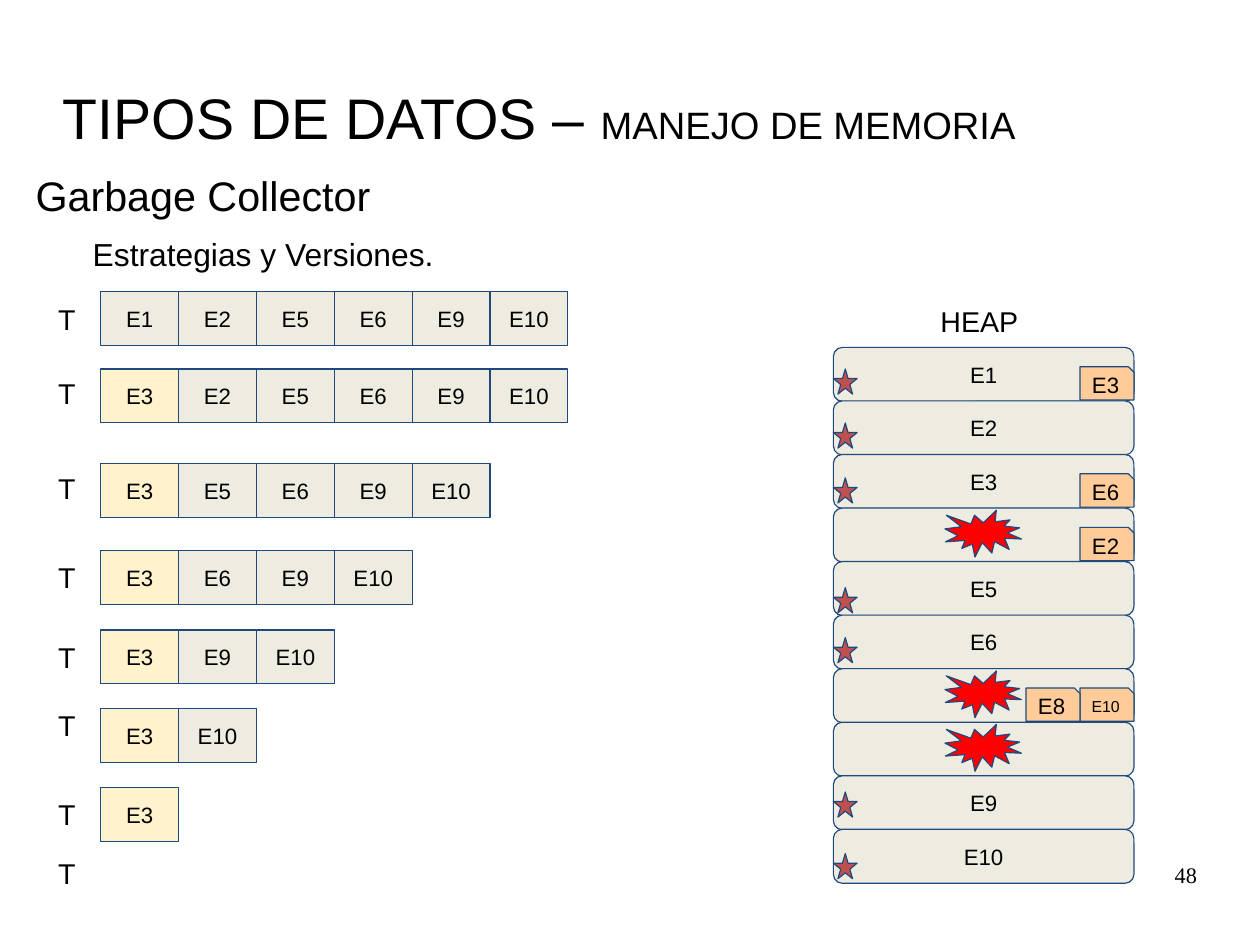
from pptx import Presentation
from pptx.dml.color import RGBColor
from pptx.enum import shapes, text
from pptx.util import Cm, Pt

GREY, CREAM, PEACH = "EEECE1", "FFF2CC", "FFCC99"
STAR_RED, BURST_RED, NAVY, BLACK = "C0504D", "FF0000", "1F497D", "000000"
LEFT, CENTER, RIGHT = (text.PP_ALIGN.LEFT, text.PP_ALIGN.CENTER,
                       text.PP_ALIGN.RIGHT)
JUSTIFY = text.PP_ALIGN.JUSTIFY
TOP, MIDDLE = text.MSO_ANCHOR.TOP, text.MSO_ANCHOR.MIDDLE
SHAPE = shapes.MSO_SHAPE

# Table rows: top of the cells, their elements (cm)
ROWS = [
    (6.48, ["E1", "E2", "E5", "E6", "E9", "E10"]),
    (8.2, ["E3", "E2", "E5", "E6", "E9", "E10"]),
    (10.31, ["E3", "E5", "E6", "E9", "E10"]),
    (12.24, ["E3", "E6", "E9", "E10"]),
    (14, ["E3", "E9", "E10"]),
    (15.75, ["E3", "E10"]),
    (17.5, ["E3"]),
]
ROW_LABEL_TOPS = [6.45, 8.1, 10.21, 12.19, 13.97, 15.49, 17.45, 18.77]
CELL_LEFT, CELL_W, CELL_H = 2.24, 1.73, 1.2

# Heap slots: element (empty if freed), references it holds, top of its star
HEAP = [
    ("E1", ["E3"], 8.2),
    ("E2", [], 9.4),
    ("E3", ["E6"], 10.62),
    ("", ["E2"], None),
    ("E5", [], 13.06),
    ("E6", [], 14.17),
    ("", ["E10", "E8"], None),
    ("", [], None),
    ("E9", [], 17.6),
    ("E10", [], 18.97),
]
HEAP_LEFT, HEAP_TOP, HEAP_W, HEAP_PITCH = 18.52, 7.72, 6.68, 1.19
TAG_W, TAG_H = 1.2, 0.74


def rgb(value):
    return RGBColor.from_string(value)


def frame(tf, inset=0, anchor=TOP, wrap=True):
    tf.margin_left = tf.margin_right = Cm(inset)
    tf.margin_top = tf.margin_bottom = Cm(inset)
    tf.vertical_anchor = anchor
    tf.word_wrap = wrap
    tf.auto_size = text.MSO_AUTO_SIZE.NONE


def write(p, words, size=14, font="Arial", color=BLACK, align=LEFT):
    p.alignment = align
    r = p.add_run()
    r.text = words
    r.font.size = Pt(size)
    r.font.name = font
    r.font.color.rgb = rgb(color)


def add_text(s, x, y, w, h, words, inset=0, **style):
    tf = s.shapes.add_textbox(Cm(x), Cm(y), Cm(w), Cm(h)).text_frame
    frame(tf, inset)
    write(tf.paragraphs[0], words, **style)
    return tf


def add_block(s, kind, x, y, w, h, fill, words="", size=14):
    sp = s.shapes.add_shape(kind, Cm(x), Cm(y), Cm(w), Cm(h))
    sp.shadow.inherit = False
    sp.fill.solid()
    sp.fill.fore_color.rgb = rgb(fill)
    sp.line.color.rgb = rgb(NAVY)
    sp.line.width = Pt(0.75)
    if words:
        frame(sp.text_frame, 0.25, MIDDLE, wrap=False)
        write(sp.text_frame.paragraphs[0], words, size=size, align=CENTER)


def add_title(s):
    sp = s.shapes.title
    sp.left, sp.top, sp.width, sp.height = Cm(1.4), Cm(1.6), Cm(25.8), Cm(2)
    frame(sp.text_frame, anchor=MIDDLE)
    p = sp.text_frame.paragraphs[0]
    write(p, "TIPOS DE DATOS – ", size=36)
    write(p, "MANEJO DE MEMORIA", size=24)


def add_subtitle(s):
    tf = add_text(s, 0.79, 3.99, 15.32, 3.28, "Garbage Collector", size=26)
    p = tf.add_paragraph()
    write(p, "Estrategias y Versiones.", size=20, align=JUSTIFY)
    p.space_before = Pt(14.2)
    p._p.get_or_add_pPr().set("marL", str(Cm(1.27)))
    for p in tf.paragraphs:
        p.line_spacing = 0.8


def add_row(s, top, elements):
    for i, element in enumerate(elements):
        fill = CREAM if element == "E3" else GREY
        add_block(s, SHAPE.RECTANGLE, CELL_LEFT + i * CELL_W, top,
                  CELL_W, CELL_H, fill, element)


def add_slot(s, top, element, references, star_top):
    add_block(s, SHAPE.ROUNDED_RECTANGLE, HEAP_LEFT, top, HEAP_W, CELL_H,
              GREY, element)
    if not element:
        add_block(s, SHAPE.EXPLOSION1, 21, top + 0.05, 1.7, 1.04, BURST_RED)
    for i, reference in enumerate(references, start=1):
        add_block(s, SHAPE.SNIP_1_RECTANGLE, HEAP_LEFT + HEAP_W - i * TAG_W,
                  top + 0.43, TAG_W, TAG_H, PEACH, reference,
                  size=10 if len(reference) > 2 else 14)
    if star_top:
        add_block(s, SHAPE.STAR_5_POINT, HEAP_LEFT, star_top, 0.53, 0.56,
                  STAR_RED)


def main():
    prs = Presentation()
    prs.slide_width, prs.slide_height = Cm(28), Cm(21)
    s = prs.slides.add_slide(prs.slide_layouts[5])

    # Headings
    add_title(s)
    add_subtitle(s)

    # Versions of the table T
    for top, elements in ROWS:
        add_row(s, top, elements)
    for top in ROW_LABEL_TOPS:
        add_text(s, 1.04, top, 1, 1.27, "T", inset=0.25, size=18)

    # Heap
    add_text(s, 20.65, 6.5, 2.41, 1.27, "HEAP", inset=0.25, size=18)
    for i, slot in enumerate(HEAP):
        add_slot(s, HEAP_TOP + i * HEAP_PITCH, *slot)

    # Page number
    add_text(s, 20.07, 19.13, 6.53, 1.45, "48", font="Times New Roman",
             align=RIGHT)
    prs.save("out.pptx")


if __name__ == "__main__":
    main()
